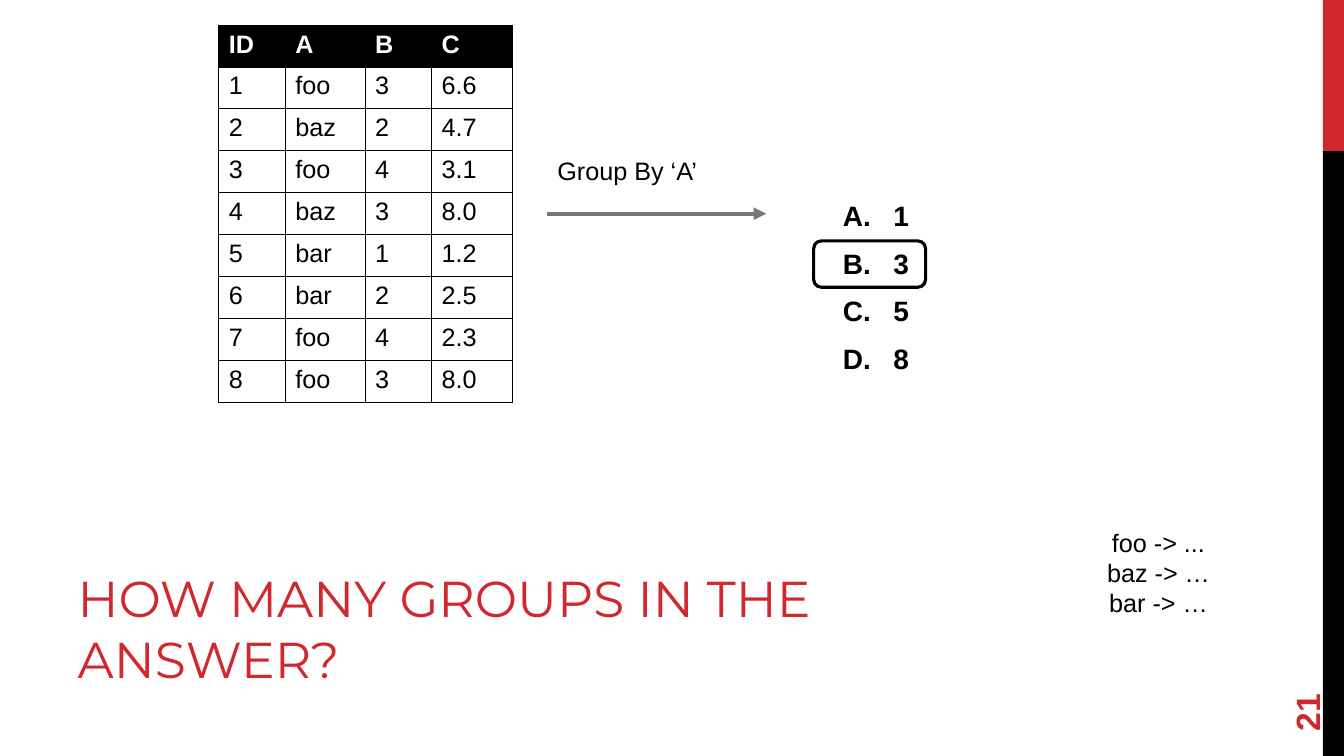
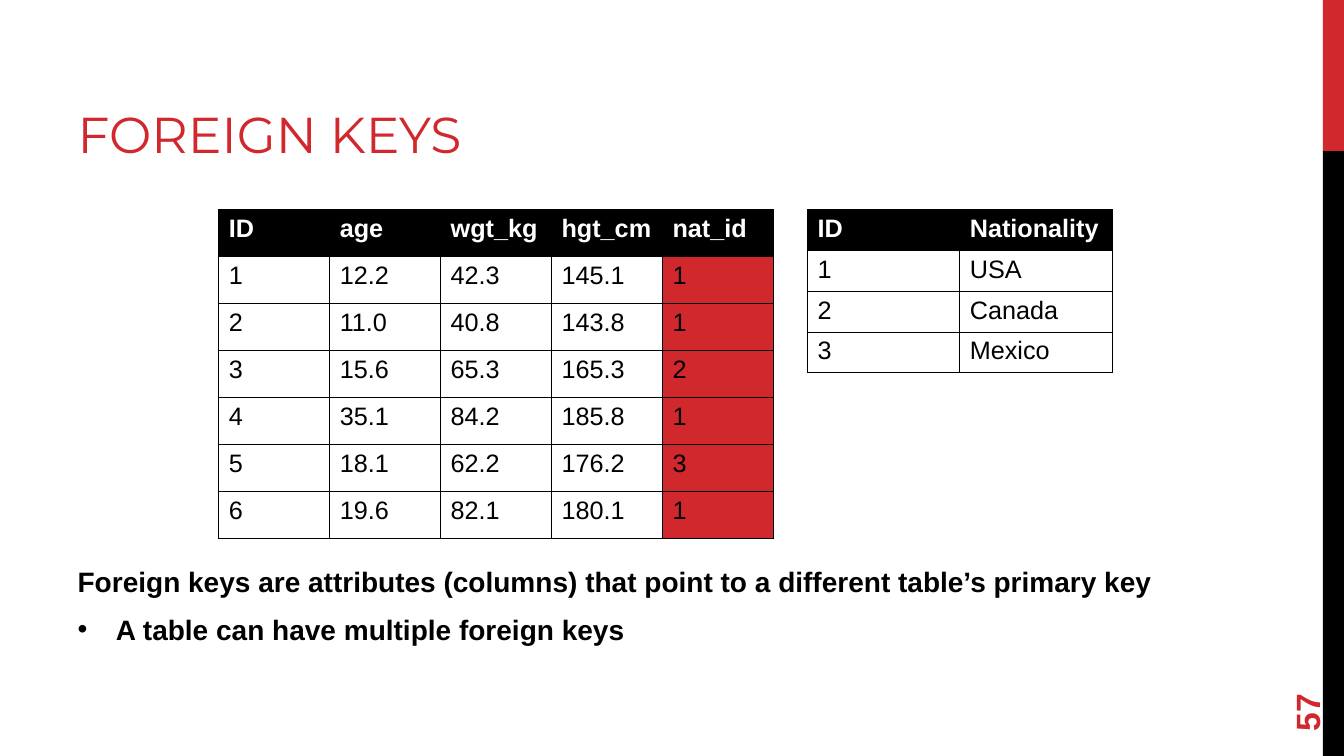
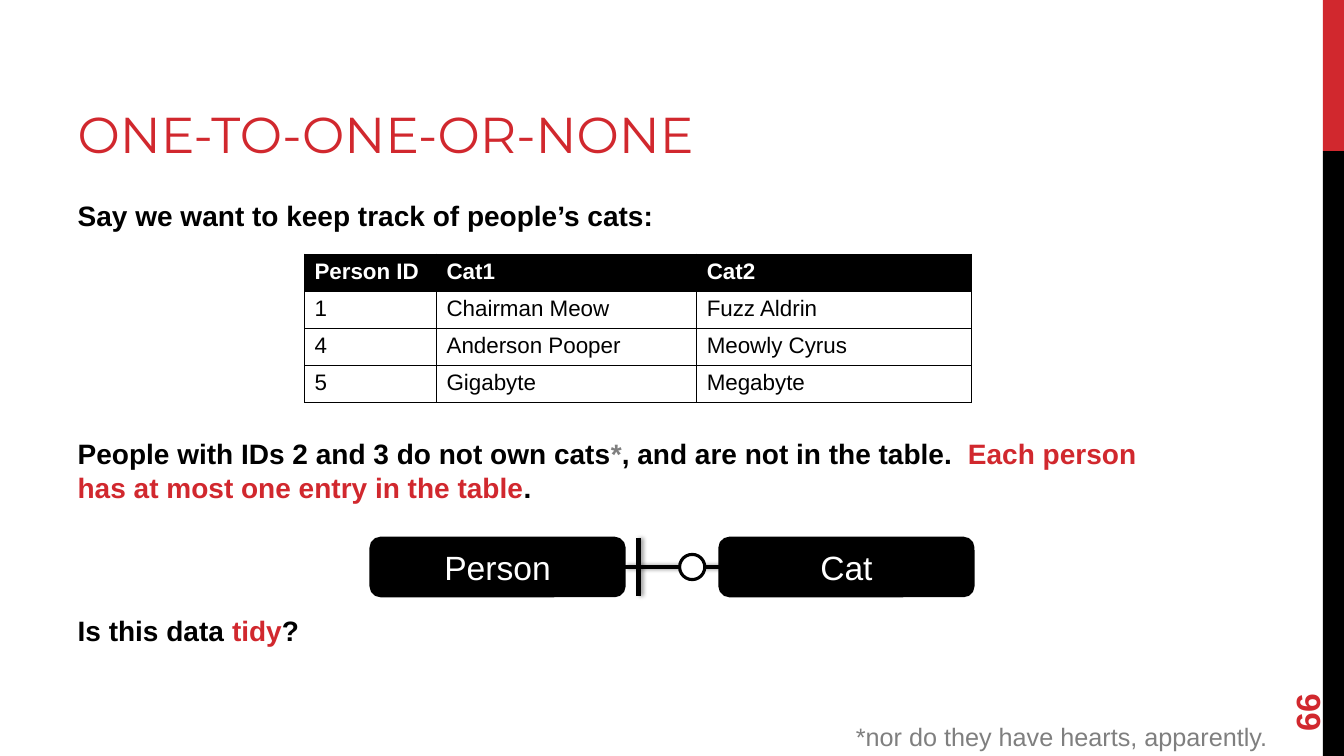
from dataclasses import dataclass

from lxml import etree
from pptx import Presentation
from pptx.dml.color import RGBColor
from pptx.enum.shapes import MSO_CONNECTOR as Connector, MSO_SHAPE as Shape
from pptx.enum.text import MSO_ANCHOR as Anchor, MSO_AUTO_SIZE as AutoSize, PP_ALIGN as Align
from pptx.oxml.ns import qn
from pptx.util import Inches, Pt


@dataclass(frozen=True)
class Theme:
    red: str = "D1282E"
    black: str = "000000"
    white: str = "FFFFFF"
    gray: str = "7F7F7F"
    arrow: str = "777777"
    title_font: str = "Montserrat"
    text_font: str = "Arial"
    title_size: int = 36
    body_size: int = 20
    label_size: int = 18
    small_size: int = 16
    large_size: int = 24
    body_gap: int = 10
    body_step: int = 34


THEME = Theme()

# Shared geometry, in inches: left, top, width, height
TITLE_AT = (0.67, 0.17, 8.44, 1.5)
BODY_AT = (0.67, 1.92, 11.11, 4.78)
NUMBER_AT = (12.24, 6.37, 1.44, 0.53)
BANDS = [((13.12, 0, 0.21, 1.5), THEME.red), ((13.12, 1.5, 0.21, 6), THEME.black)]

# Content
GROUP_TITLE = "HOW MANY GROUPS IN THE ANSWER?"
GROUP_ROWS = [
    ("ID", "A", "B", "C"),
    ("1", "foo", "3", "6.6"),
    ("2", "baz", "2", "4.7"),
    ("3", "foo", "4", "3.1"),
    ("4", "baz", "3", "8.0"),
    ("5", "bar", "1", "1.2"),
    ("6", "bar", "2", "2.5"),
    ("7", "foo", "4", "2.3"),
    ("8", "foo", "3", "8.0"),
]
ANSWERS = ["1", "3", "5", "8"]
GROUP_RESULT = ["foo -> ...", "baz -> …", "bar -> …"]

KEYS_TITLE = "FOREIGN KEYS"
PEOPLE_ROWS = [
    ("ID", "age", "wgt_kg", "hgt_cm", "nat_id"),
    ("1", "12.2", "42.3", "145.1", "1"),
    ("2", "11.0", "40.8", "143.8", "1"),
    ("3", "15.6", "65.3", "165.3", "2"),
    ("4", "35.1", "84.2", "185.8", "1"),
    ("5", "18.1", "62.2", "176.2", "3"),
    ("6", "19.6", "82.1", "180.1", "1"),
]
NATION_ROWS = [("ID", "Nationality"), ("1", "USA"), ("2", "Canada"), ("3", "Mexico")]
KEYS_INTRO = "Foreign keys are attributes (columns) that point to a different table’s primary key"
KEYS_POINT = "A table can have multiple foreign keys"

CATS_TITLE = "ONE-TO-ONE-OR-NONE"
CAT_ROWS = [
    ("Person ID", "Cat1", "Cat2"),
    ("1", "Chairman Meow", "Fuzz Aldrin"),
    ("4", "Anderson Pooper", "Meowly Cyrus"),
    ("5", "Gigabyte", "Megabyte"),
]
# Each paragraph: body lines left free above it, then (text, colour) runs
CATS_TEXT = [
    (0, [("Say we want to keep track of people’s cats:", THEME.black)]),
    (4, [("People with IDs 2 and 3 do not own cats", THEME.black),
         ("*", THEME.gray),
         (", and are not in the table.  ", THEME.black),
         ("Each person has at most one entry in the table", THEME.red),
         (".", THEME.black)]),
    (2, [("Is this data ", THEME.black), ("tidy", THEME.red), ("?", THEME.black)]),
]
ENTITIES = ["Person", "Cat"]
CATS_FOOTNOTE = "*nor do they have hearts, apparently."


# Helpers
def rgb(color):
    return RGBColor.from_string(color)


def inches(values):
    return [Inches(value) for value in values]


def place(shape, at):
    shape.left, shape.top, shape.width, shape.height = inches(at)


def style(paragraph, size, color=THEME.black, bold=False, font=THEME.text_font):
    for span in paragraph.runs:
        span.font.name, span.font.size, span.font.bold = font, Pt(size), bold
        span.font.color.rgb = rgb(color)


def add_child(parent, tag, **attributes):
    return etree.SubElement(parent, qn(tag), **attributes)


def set_bullet(paragraph, indent=0, tag="a:buNone", **attributes):
    props = paragraph._p.get_or_add_pPr()
    props.set("marL", str(Inches(indent)))
    props.set("indent", str(Inches(-indent)))
    add_child(props, tag, **attributes)


def add_label(page, at, lines, size=THEME.label_size, color=THEME.black,
              bold=False, align=Align.LEFT):
    box = page.shapes.add_textbox(*inches(at))
    box.text_frame.word_wrap = True
    box.text_frame.text = "\n".join(lines)
    for paragraph in box.text_frame.paragraphs:
        paragraph.alignment = align
        style(paragraph, size, color, bold)
    return box


def add_box(page, kind, at, fill=None, line=THEME.black):
    box = page.shapes.add_shape(kind, *inches(at))
    box.shadow.inherit = False
    if fill:
        box.fill.solid()
        box.fill.fore_color.rgb = rgb(fill)
    else:
        box.fill.background()
    if line:
        box.line.color.rgb = rgb(line)
        box.line.width = Pt(2.25)
    else:
        box.line.fill.background()
    return box


def add_line(page, start, end, color, width, arrow=False, shadow=False):
    line = page.shapes.add_connector(Connector.STRAIGHT, *inches(start + end))
    line.line.color.rgb = rgb(color)
    line.line.width = Pt(width)
    if arrow:
        add_child(line.line._get_or_add_ln(), "a:tailEnd", type="triangle")
    effects = add_child(line._element.spPr, "a:effectLst")
    if shadow:
        outer = add_child(effects, "a:outerShdw", blurRad=str(Pt(3.1)),
                          dist=str(Pt(1.8)), dir="0", rotWithShape="0")
        tint = add_child(outer, "a:srgbClr", val=THEME.black)
        add_child(tint, "a:alpha", val="40000")


def add_grid(page, left, top, height, widths, rows, size=THEME.label_size, marked=None):
    frame = page.shapes.add_table(len(rows), len(widths),
                                  *inches((left, top, sum(widths), height)))
    table = frame.table
    table.horz_banding = False
    for column, width in zip(table.columns, widths):
        column.width = Inches(width)
    for row in table.rows:
        row.height = Inches(height / len(rows))
    for r, row in enumerate(rows):
        for c, text in enumerate(row):
            cell = table.cell(r, c)
            cell.text_frame.text = text
            head = r == 0
            style(cell.text_frame.paragraphs[0], size,
                  THEME.white if head else THEME.black, head)
            props = cell._tc.get_or_add_tcPr()
            for side in ("a:lnL", "a:lnR", "a:lnT", "a:lnB"):
                border = add_child(props, side, w=str(Pt(0.75)))
                add_child(add_child(border, "a:solidFill"), "a:srgbClr", val=THEME.black)
            if head or c == marked:
                cell.fill.solid()
                cell.fill.fore_color.rgb = rgb(THEME.black if head else THEME.red)
            else:
                cell.fill.background()


def set_up_layout(deck):
    """Give the layout its side bands and placeholder positions."""
    layout = deck.slide_layouts[1]
    place(layout.placeholders[0], TITLE_AT)
    place(layout.placeholders[1], BODY_AT)
    return layout


def add_bands(page, layout):
    for index, (at, color) in enumerate(BANDS):
        band = add_box(page, Shape.RECTANGLE, at, color, None)
        layout.shapes.element.insert(2 + index, band._element)


def add_page(deck, layout, title, number, title_at=None, body_at=None):
    page = deck.slides.add_slide(layout)
    heading, body = page.shapes.title, page.placeholders[1]
    for shape, at in ((heading, title_at), (body, body_at)):
        if at:
            place(shape, at)
        shape.text_frame.auto_size = AutoSize.NONE
    heading.text_frame.text = title
    heading.text_frame.vertical_anchor = Anchor.BOTTOM
    paragraph = heading.text_frame.paragraphs[0]
    paragraph.alignment = Align.LEFT
    style(paragraph, THEME.title_size, THEME.red, font=THEME.title_font)
    number_box = add_label(page, NUMBER_AT, [number], THEME.large_size, THEME.red, True)
    number_box.text_frame.vertical_anchor = Anchor.MIDDLE
    number_box.rotation = 270
    return page, body.text_frame


def finish_body(frame):
    for index, paragraph in enumerate(frame.paragraphs):
        paragraph.space_before = Pt(THEME.body_gap if index else 0)
        style(paragraph, THEME.body_size, bold=True)


# Slides
def build_groups(deck, layout):
    page, frame = add_page(deck, layout, GROUP_TITLE, "21",
                           (0.67, 5.38, 8.44, 1.5), (8.26, 1.92, 3.52, 4.78))
    add_bands(page, layout)
    frame.text = "\n".join(ANSWERS)
    for paragraph in frame.paragraphs:
        set_bullet(paragraph, 0.5, "a:buAutoNum", type="alphaUcPeriod")
    finish_body(frame)
    add_grid(page, 2.17, 0.25, 3.74, (0.66, 0.79, 0.66, 0.8), GROUP_ROWS)
    add_label(page, (5.43, 1.49, 1.96, 0.4), ["Group By ‘A’"])
    add_line(page, (5.43, 2.12), (7.6, 2.12), THEME.arrow, 3, arrow=True)
    add_label(page, (10.18, 5.18, 2.62, 1), GROUP_RESULT, align=Align.CENTER)
    add_box(page, Shape.ROUNDED_RECTANGLE, (8.07, 2.39, 1.11, 0.46))


def build_keys(deck, layout):
    page, frame = add_page(deck, layout, KEYS_TITLE, "57",
                           body_at=(0.67, 5.55, 11.11, 1.15))
    frame.text = "\n".join([KEYS_INTRO, KEYS_POINT])
    intro, point = frame.paragraphs
    set_bullet(intro)
    set_bullet(point, 0.38, "a:buChar", char="•")
    finish_body(frame)
    add_grid(page, 2.17, 2.08, 3.26, [1.1] * 5, PEOPLE_ROWS, marked=4)
    add_grid(page, 8.01, 2.08, 1.62, [1.51] * 2, NATION_ROWS)


def build_cats(deck, layout):
    page, frame = add_page(deck, layout, CATS_TITLE, "66")
    frame.text = "\n".join("" for _ in CATS_TEXT)
    for paragraph, (_, spans) in zip(frame.paragraphs, CATS_TEXT):
        set_bullet(paragraph)
        for text, _ in spans:
            paragraph.add_run().text = text
    finish_body(frame)
    for paragraph, (free_lines, spans) in zip(frame.paragraphs, CATS_TEXT):
        if free_lines:
            paragraph.space_before = Pt(THEME.body_gap + free_lines * THEME.body_step)
        for span, (_, color) in zip(paragraph.runs, spans):
            span.font.color.rgb = rgb(color)
    add_grid(page, 3.02, 2.52, 1.47, (1.31, 2.58, 2.73), CAT_ROWS, THEME.small_size)

    # Entity diagram: two boxes, a link, a "one" bar and a "none" ring
    left, top, width, height, gap = 3.68, 5.34, 2.51, 0.57, 0.95
    for index, name in enumerate(ENTITIES):
        at = (left + index * (width + gap), top, width, height)
        box = add_box(page, Shape.ROUNDED_RECTANGLE, at, THEME.black)
        box.text_frame.text = name
        box.text_frame.vertical_anchor = Anchor.MIDDLE
        box.text_frame.paragraphs[0].alignment = Align.CENTER
        style(box.text_frame.paragraphs[0], THEME.large_size, THEME.white)
    middle, link, bar, ring = top + height / 2, left + width, 6.33, 0.25
    add_line(page, (link, middle), (link + gap, middle), THEME.black, 3.25, shadow=True)
    add_line(page, (bar, top), (bar, top + height), THEME.black, 3.25, shadow=True)
    add_box(page, Shape.OVAL, (6.74, middle - ring / 2, ring, ring), THEME.white)
    add_label(page, (8.39, 7.11, 4.41, 0.4), [CATS_FOOTNOTE], color=THEME.gray)


def main():
    deck = Presentation()
    deck.slide_width, deck.slide_height = Inches(13.33), Inches(7.5)
    layout = set_up_layout(deck)
    for build in (build_groups, build_keys, build_cats):
        build(deck, layout)
    deck.save("out.pptx")


if __name__ == "__main__":
    main()
